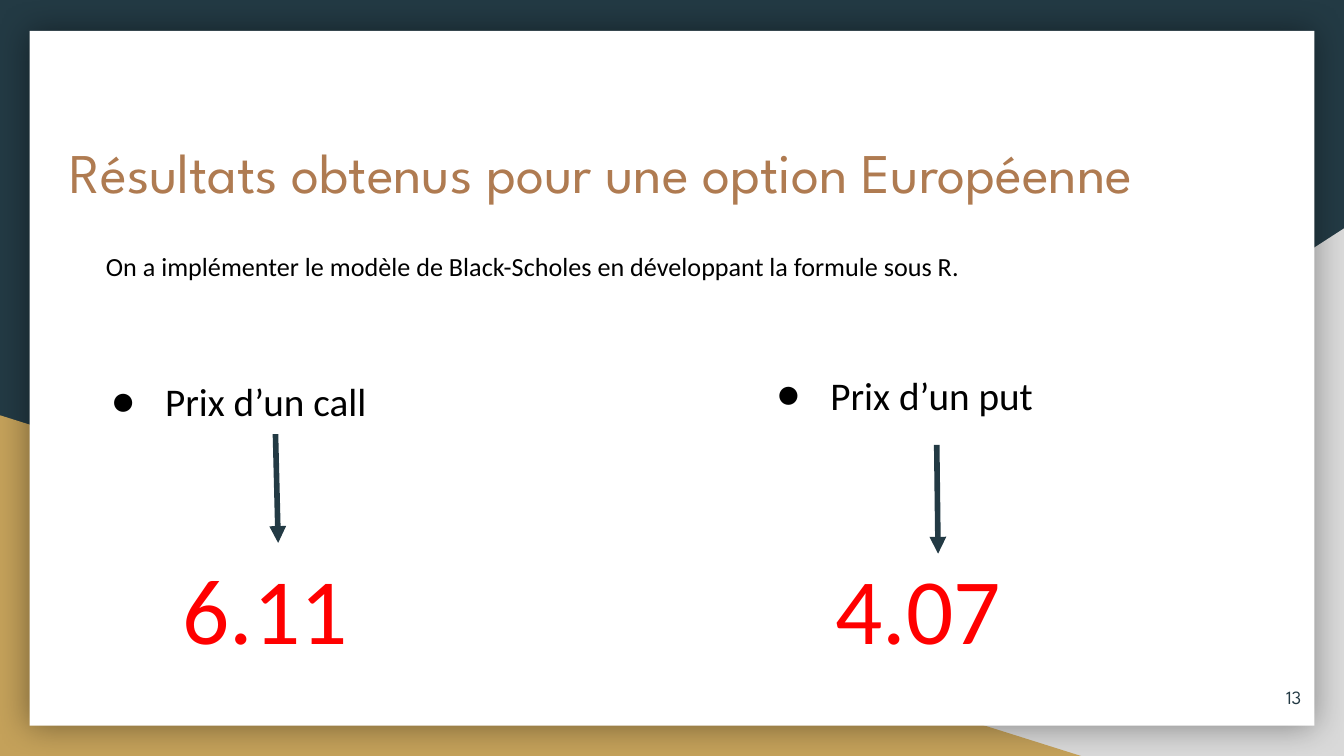
from lxml.etree import SubElement
from pptx import Presentation
from pptx.dml.color import RGBColor
from pptx.enum.shapes import MSO_CONNECTOR as Connector, MSO_SHAPE as Shape
from pptx.enum.text import MSO_ANCHOR as Anchor, PP_ALIGN as Align
from pptx.oxml.ns import qn
from pptx.util import Inches, Pt

COLORS = {
    "navy": "233A44", "grey": "D9D9D9", "gold": "C4A15A", "white": "FFFFFF",
    "brown": "AF7B51", "black": "000000", "red": "FF0000",
}
HEADING_FONT, BODY_FONT = "League Spartan", "Calibri"

# Content: text, box (left, top, width, height), size, font, colour
TITLE = ("Résultats obtenus pour une option Européenne",
         (0.42, 0.92, 9.05, 1.04), 30, HEADING_FONT, "brown")
INTRO = ("On a implémenter le modèle de Black-Scholes en développant la formule sous R.",
         (0.69, 1.76, 8.3, 0.44), 14, BODY_FONT, "black")
PAGE_NUMBER = ("13", (9.18, 4.97, 0.6, 0.43), 10, HEADING_FONT, "navy")

# Each price: label and its corner, value and its left, arrow start and end
PRICES = [
    ("Prix d’un call", (0.63, 2.71), "6.11", 1.26, (2.05, 3.23), (2.07, 4.04)),
    ("Prix d’un put", (5.58, 2.66), "4.07", 6.12, (6.97, 3.31), (6.98, 4.12)),
]

# Backdrop, from back to front
BACKDROP = [
    (Shape.RIGHT_TRIANGLE, (3.92, 1.7, 6.08, 3.93), "grey"),
    (Shape.RIGHT_TRIANGLE, (0, 3.09, 8.06, 2.54), "gold"),
    (Shape.RECTANGLE, (0.22, 0.23, 9.56, 5.17), "white"),
]


def color(name):
    return RGBColor.from_string(COLORS[name])


def add_backdrop_shape(slide, preset, box, fill):
    shape = slide.shapes.add_shape(preset, *map(Inches, box))
    shape.shadow.inherit = False
    shape.fill.solid()
    shape.fill.fore_color.rgb = color(fill)
    shape.line.fill.background()
    return shape


def add_glow_shadow(shape):
    effects = shape.element.spPr.find(qn("a:effectLst"))
    shadow = SubElement(effects, qn("a:outerShdw"), blurRad=str(Pt(18)),
                        dist="0", dir="0", algn="ctr", rotWithShape="0")
    tint = SubElement(shadow, qn("a:srgbClr"), val=COLORS["black"])
    SubElement(tint, qn("a:alpha"), val="40000")


def add_text(slide, text, box, size, font, ink):
    text_box = slide.shapes.add_textbox(*map(Inches, box))
    frame = text_box.text_frame
    frame.word_wrap = True
    frame.margin_left = frame.margin_right = Inches(0.1)
    frame.margin_top = frame.margin_bottom = Inches(0.1)
    frame.text = text
    run_font = frame.paragraphs[0].runs[0].font
    run_font.size, run_font.name = Pt(size), font
    run_font.color.rgb = color(ink)
    return frame


def add_bullet(paragraph):
    properties = paragraph._p.get_or_add_pPr()
    properties.set("marL", str(Inches(0.5)))
    properties.set("indent", str(Inches(-0.4)))
    bullet_color = SubElement(properties, qn("a:buClr"))
    SubElement(bullet_color, qn("a:srgbClr"), val=COLORS["black"])
    SubElement(properties, qn("a:buFont"), typeface=BODY_FONT)
    SubElement(properties, qn("a:buChar"), char="●")


def add_arrow(slide, start, end):
    arrow = slide.shapes.add_connector(
        Connector.STRAIGHT, *map(Inches, start + end))
    arrow.line.color.rgb = color("navy")
    arrow.line.width = Pt(3)
    SubElement(arrow.line._get_or_add_ln(), qn("a:tailEnd"), type="triangle")
    SubElement(arrow.element.spPr, qn("a:effectLst"))


def main():
    presentation = Presentation()
    presentation.slide_width = Inches(10)
    presentation.slide_height = Inches(10 * 9 / 16)
    slide = presentation.slides.add_slide(presentation.slide_layouts[6])

    # Background, two corner triangles and the white panel
    slide.background.fill.solid()
    slide.background.fill.fore_color.rgb = color("navy")
    right_corner, _, panel = [add_backdrop_shape(slide, *part) for part in BACKDROP]
    right_corner.element.spPr.find(qn("a:xfrm")).set("flipH", "1")
    add_glow_shadow(panel)

    # Title, introduction and page number
    add_text(slide, *TITLE)
    add_text(slide, *INTRO)
    number = add_text(slide, *PAGE_NUMBER)
    number.vertical_anchor = Anchor.MIDDLE
    number.paragraphs[0].alignment = Align.RIGHT

    # Label, arrow and value for each option
    for label, corner, value, value_left, start, end in PRICES:
        frame = add_text(slide, label, corner + (3.66, 0.44), 21, BODY_FONT, "black")
        add_bullet(frame.paragraphs[0])
        add_text(slide, value, (value_left, 4, 2.57, 0.97), 50, BODY_FONT, "red")
        add_arrow(slide, start, end)

    presentation.save("out.pptx")


if __name__ == "__main__":
    main()
